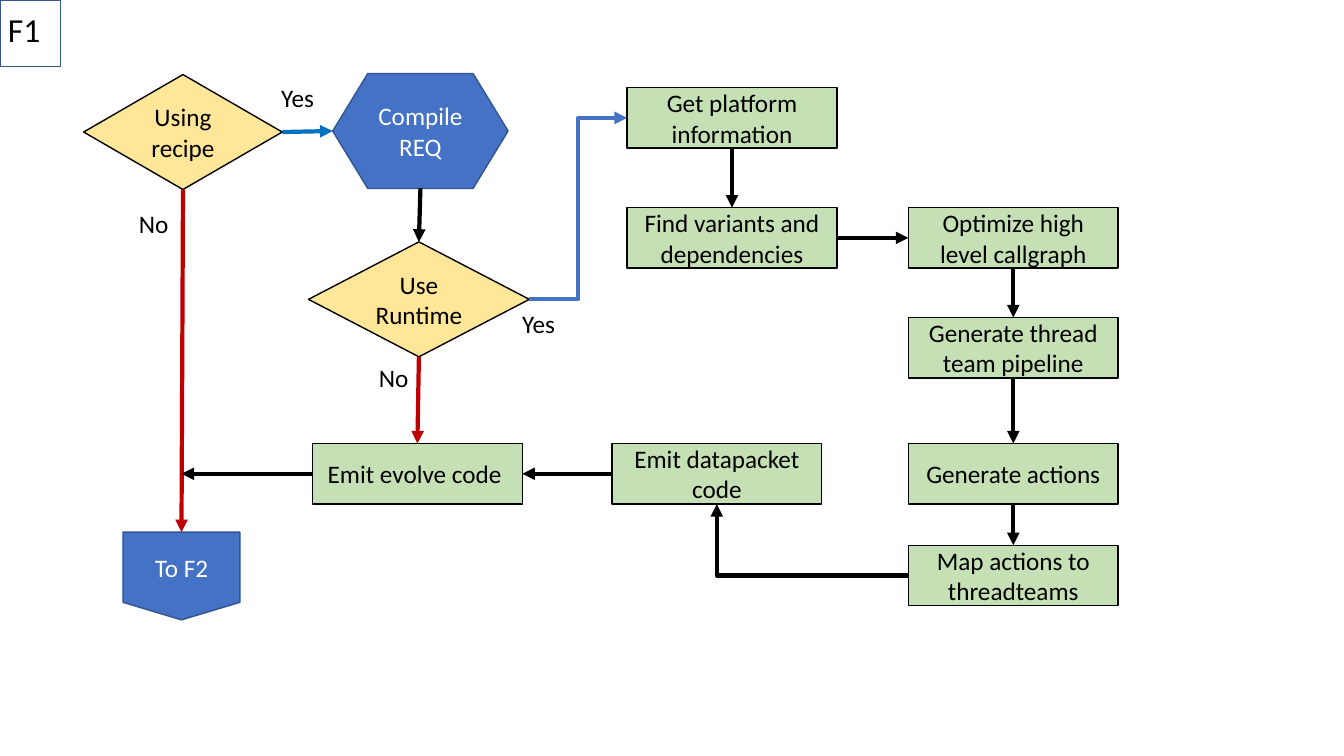
from typing import NamedTuple

from lxml import etree
from pptx import Presentation
from pptx.dml.color import RGBColor
from pptx.enum.shapes import MSO_CONNECTOR, MSO_SHAPE
from pptx.enum.text import MSO_ANCHOR, PP_ALIGN
from pptx.oxml.ns import qn
from pptx.util import Inches, Pt

DECISION = MSO_SHAPE.FLOWCHART_DECISION
PREPARATION = MSO_SHAPE.FLOWCHART_PREPARATION
PROCESS = MSO_SHAPE.FLOWCHART_PROCESS
OFFPAGE = MSO_SHAPE.FLOWCHART_OFFPAGE_CONNECTOR
RECT = MSO_SHAPE.RECTANGLE
STRAIGHT, ELBOW = MSO_CONNECTOR.STRAIGHT, MSO_CONNECTOR.ELBOW
CENTER, LEFT_ALIGN = PP_ALIGN.CENTER, PP_ALIGN.LEFT
MIDDLE = MSO_ANCHOR.MIDDLE

BLACK = RGBColor(0x00, 0x00, 0x00)
WHITE = RGBColor(0xFF, 0xFF, 0xFF)
YELLOW = RGBColor(0xFF, 0xE6, 0x99)
GREEN = RGBColor(0xC5, 0xE0, 0xB4)
BLUE = RGBColor(0x44, 0x72, 0xC4)
NAVY = RGBColor(0x32, 0x54, 0x91)
CYAN = RGBColor(0x00, 0x70, 0xC0)
RED = RGBColor(0xC0, 0x00, 0x00)

# Connection sites of a flowchart shape
TOP, LEFT, BOTTOM, RIGHT = range(4)

# Columns and rows shared by the process boxes
BOX_W, BOX_H = 2.08, 0.6
PLATFORM_X, ACTIONS_X = 6.22, 9.01
VARIANTS_Y, EMIT_Y = 2.06, 4.4
JOIN_X = 1.8


class Look(NamedTuple):
    """Colours of one kind of node."""
    fill: RGBColor
    line: RGBColor
    font: RGBColor


class Node(NamedTuple):
    """A flowchart shape, in inches."""
    text: str
    x: float
    y: float
    w: float = BOX_W
    h: float = BOX_H
    kind: MSO_SHAPE = PROCESS


class Label(NamedTuple):
    """A free text, in inches."""
    text: str
    x: float
    y: float
    w: float
    h: float = 0.4
    size: int = 18
    wrap: bool = False


class Arrow(NamedTuple):
    """An arrow from a site of one node to a site of another."""
    start: str
    start_site: int
    end: str
    end_site: int
    color: RGBColor = BLACK
    preset: str = "line"


LOOKS = {
    DECISION: Look(YELLOW, BLACK, BLACK),
    PROCESS: Look(GREEN, BLACK, BLACK),
    PREPARATION: Look(BLUE, NAVY, WHITE),
    OFFPAGE: Look(BLUE, NAVY, WHITE),
}

NODES = {
    "recipe": Node("Using recipe", 0.83, 0.74, 1.97, 1.14, DECISION),
    "compile": Node("Compile REQ", 3.3, 0.73, 1.74, 1.14, PREPARATION),
    "runtime": Node("Use Runtime", 3.06, 2.4, 2.19, 1.14, DECISION),
    "to_f2": Node("To F2", 1.22, 5.28, 1.16, 0.87, OFFPAGE),
    "platform": Node("Get platform information", PLATFORM_X, 0.87),
    "variants": Node("Find variants and dependencies", PLATFORM_X, VARIANTS_Y),
    "optimize": Node("Optimize high level callgraph", ACTIONS_X, VARIANTS_Y),
    "pipeline": Node("Generate thread team pipeline", ACTIONS_X, 3.15),
    "actions": Node("Generate actions", ACTIONS_X, EMIT_Y),
    "map": Node("Map actions to threadteams", ACTIONS_X, 5.41),
    "datapacket": Node("Emit datapacket code", 6.07, EMIT_Y),
    "evolve": Node("Emit evolve code ", 3.1, EMIT_Y),
}

LABELS = [
    Label("F1", -0.02, 0.04, 0.53, 0.5, size=24),
    Label("Yes", 2.69, 0.77, 0.53),
    Label("Yes", 5.08, 3.01, 0.53),
    Label("No", 1.28, 2.02, 0.5, wrap=True),
    Label("No", 3.66, 3.55, 0.5, wrap=True),
]

ARROWS = [
    Arrow("recipe", BOTTOM, "to_f2", TOP, RED),
    Arrow("recipe", RIGHT, "compile", LEFT, CYAN),
    Arrow("compile", BOTTOM, "runtime", TOP),
    Arrow("runtime", BOTTOM, "evolve", TOP, RED),
    Arrow("runtime", RIGHT, "platform", LEFT, BLUE, "bentConnector3"),
    Arrow("platform", BOTTOM, "variants", TOP),
    Arrow("variants", RIGHT, "optimize", LEFT),
    Arrow("optimize", BOTTOM, "pipeline", TOP),
    Arrow("pipeline", BOTTOM, "actions", TOP),
    Arrow("actions", BOTTOM, "map", TOP),
    Arrow("map", LEFT, "datapacket", BOTTOM, BLACK, "bentConnector2"),
    Arrow("datapacket", LEFT, "evolve", RIGHT),
]


def write(tf, text: str, color: RGBColor, size: int, align: PP_ALIGN) -> None:
    """Put one formatted paragraph into a text frame."""
    p = tf.paragraphs[0]
    p.alignment = align
    r = p.add_run()
    r.text = text
    for name, value in {"name": "Calibri", "size": Pt(size)}.items():
        setattr(r.font, name, value)
    r.font.color.rgb = color


def add_outline(s, kind: MSO_SHAPE, box: tuple, color: RGBColor):
    """Add an unfilled, thinly outlined shape."""
    sp = s.shapes.add_shape(kind, *map(Inches, box))
    sp.shadow.inherit = False
    sp.fill.background()
    sp.line.color.rgb = color
    sp.line.width = Pt(1)
    return sp


def add_node(s, node: Node):
    """Draw a filled flowchart shape with centred text."""
    look = LOOKS[node.kind]
    sp = add_outline(s, node.kind, node[1:5], look.line)
    sp.fill.solid()
    sp.fill.fore_color.rgb = look.fill
    tf = sp.text_frame
    for name, value in {"word_wrap": True, "vertical_anchor": MIDDLE}.items():
        setattr(tf, name, value)
    write(tf, node.text, look.font, 18, CENTER)
    return sp


def add_label(s, label: Label) -> None:
    """Draw a free text."""
    tf = s.shapes.add_textbox(*map(Inches, label[1:5])).text_frame
    tf.word_wrap = label.wrap
    write(tf, label.text, BLACK, label.size, LEFT_ALIGN)


def style_arrow(cxn, color: RGBColor) -> None:
    """Give a connector its colour, width and arrowhead, and no shadow."""
    cxn.line.color.rgb = color
    cxn.line.width = Pt(3)
    sp_pr = cxn._element.spPr
    etree.SubElement(sp_pr.find(qn("a:ln")), qn("a:tailEnd"), type="triangle")
    etree.SubElement(sp_pr, qn("a:effectLst"))


def add_arrow(s, arrow: Arrow, shapes: dict) -> None:
    """Draw an arrow glued to two nodes."""
    kind = STRAIGHT if arrow.preset == "line" else ELBOW
    cxn = s.shapes.add_connector(kind, 0, 0, 0, 0)
    cxn.begin_connect(shapes[arrow.start], arrow.start_site)
    cxn.end_connect(shapes[arrow.end], arrow.end_site)
    cxn._element.spPr.find(qn("a:prstGeom")).set("prst", arrow.preset)
    style_arrow(cxn, arrow.color)


def add_join(s, evolve) -> None:
    """Draw the arrow from the evolve box to the line down to F2."""
    y = Inches(EMIT_Y + BOX_H / 2)
    cxn = s.shapes.add_connector(STRAIGHT, evolve.left, y, Inches(JOIN_X), y)
    cxn.begin_connect(evolve, LEFT)
    style_arrow(cxn, BLACK)


prs = Presentation()
prs.slide_width, prs.slide_height = Inches(13.33), Inches(7.5)
s = prs.slides.add_slide(prs.slide_layouts[6])
add_outline(s, RECT, (0, 0, 0.6, 0.66), NAVY)
shapes = {key: add_node(s, node) for key, node in NODES.items()}
for arrow in ARROWS:
    add_arrow(s, arrow, shapes)
add_join(s, shapes["evolve"])
for label in LABELS:
    add_label(s, label)
prs.save("out.pptx")
